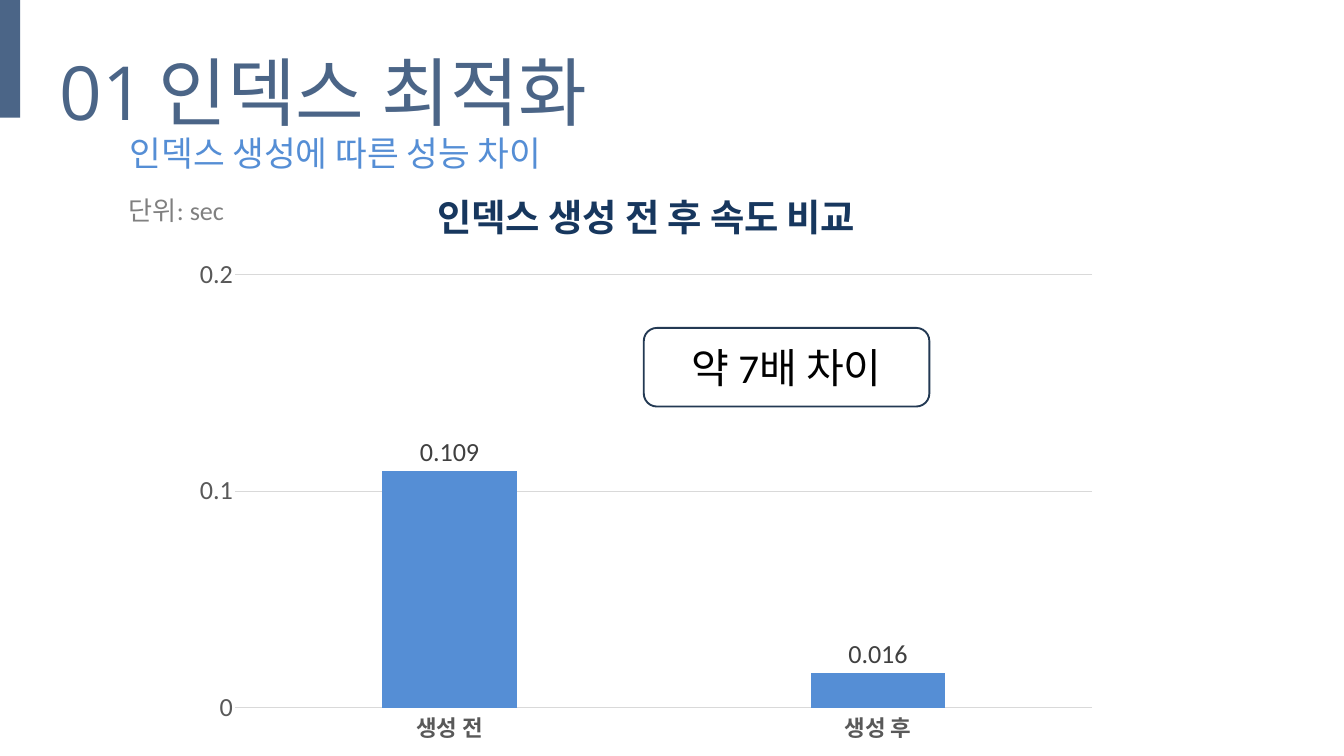
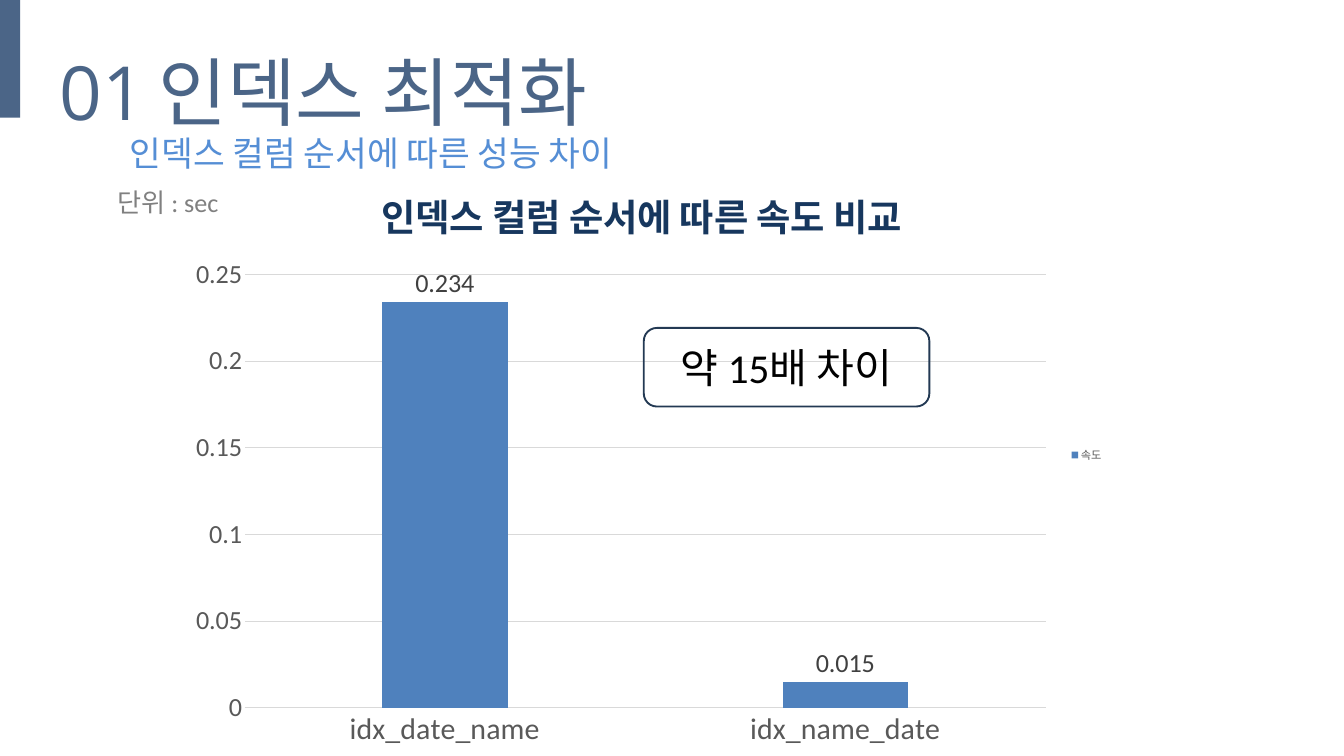
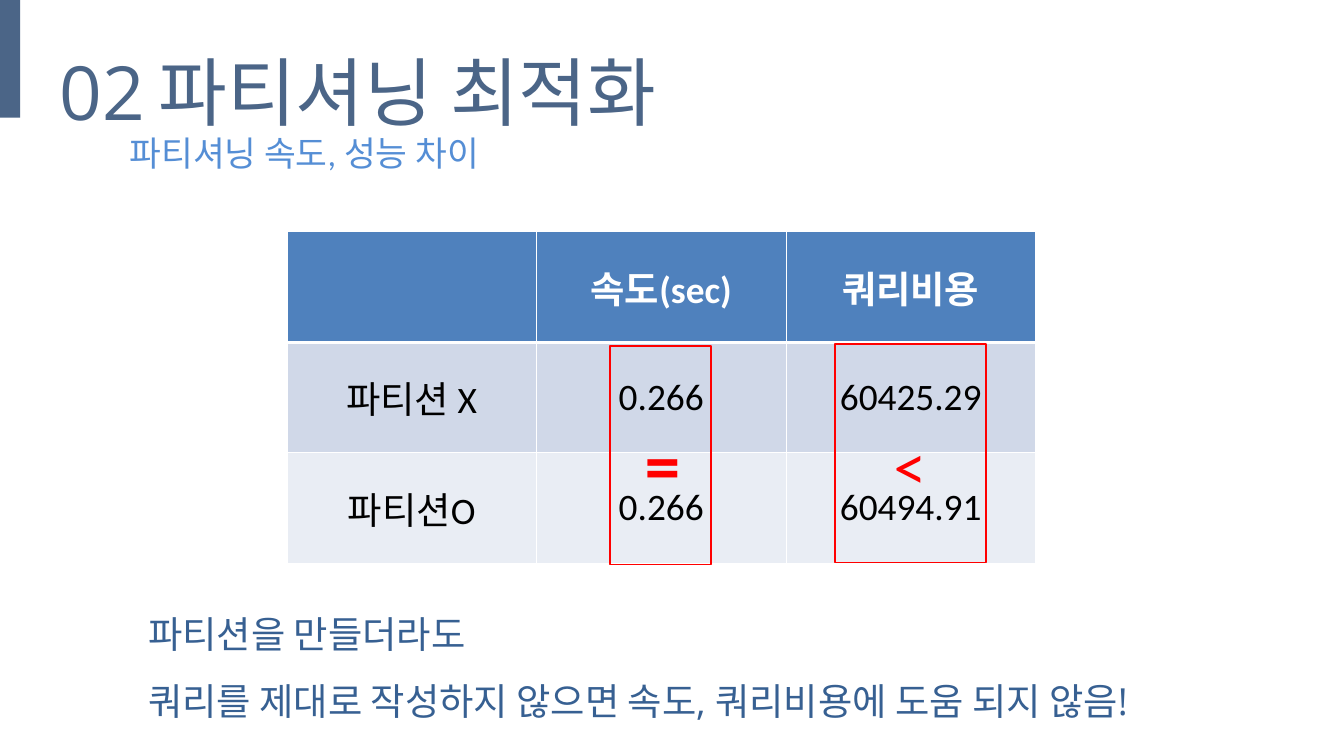
from lxml.etree import SubElement
from pptx import Presentation
from pptx.chart.data import CategoryChartData
from pptx.dml.color import RGBColor
from pptx.enum.chart import XL_CHART_TYPE as ChartType, XL_LABEL_POSITION as LabelPos
from pptx.enum.chart import XL_LEGEND_POSITION as LegendPos, XL_TICK_MARK as Tick
from pptx.enum.shapes import MSO_SHAPE as Shape
from pptx.enum.text import MSO_ANCHOR as Anchor, MSO_AUTO_SIZE as AutoSize, PP_ALIGN as Align
from pptx.oxml.ns import qn
from pptx.util import Inches, Pt

SLATE = RGBColor(0x4B, 0x65, 0x87)
SKY = RGBColor(0x55, 0x8E, 0xD5)
BLUE = RGBColor(0x4F, 0x81, 0xBD)
NAVY = RGBColor(0x17, 0x37, 0x5E)
OUTLINE = RGBColor(0x23, 0x39, 0x53)
NOTE_BLUE = RGBColor(0x37, 0x60, 0x92)
RED = RGBColor(0xFF, 0x00, 0x00)
BLACK = RGBColor(0x00, 0x00, 0x00)
WHITE = RGBColor(0xFF, 0xFF, 0xFF)
GRAY = RGBColor(0x80, 0x80, 0x80)
AXIS_GRAY = RGBColor(0x59, 0x59, 0x59)
LABEL_GRAY = RGBColor(0x40, 0x40, 0x40)
GRID_GRAY = RGBColor(0xD9, 0xD9, 0xD9)
ROW_DARK = RGBColor(0xD0, 0xD8, 0xE8)
ROW_LIGHT = RGBColor(0xE9, 0xED, 0xF4)

BODY_FONT = "Calibri"
NUMBER_FONT = "Open Sans"
SYMBOL_FONT = "Lato"

CHART_BOX = (2.67, 2.29, 13.86, 8.96)
CALLOUT_BOX = (9.58, 4.88, 4.25, 1.17)
TABLE_BOX = (4.27, 3.45, 11.14, 4.93)


def set_font(font, size, color, name=BODY_FONT, bold=False):
    values = {"size": Pt(size), "name": name, "bold": bold}
    for key, value in values.items():
        setattr(font, key, value)
    font.color.rgb = color


def set_line(line, color, width):
    line.color.rgb = color
    line.width = Pt(width)


def add_text(page, box, lines, inset=True, font=None, **layout):
    """Add a wrapping text box; layout holds paragraph attributes."""
    frame = page.shapes.add_textbox(*map(Inches, box)).text_frame
    frame.word_wrap = True
    frame.auto_size = AutoSize.SHAPE_TO_FIT_TEXT
    if not inset:
        for side in ("left", "top", "right", "bottom"):
            setattr(frame, f"margin_{side}", 0)
    for index, line in enumerate(lines):
        para = frame.add_paragraph() if index else frame.paragraphs[0]
        for key, value in layout.items():
            setattr(para, key, value)
        span = para.add_run()
        span.text = line
        set_font(span.font, **font)


def add_box(page, kind, box, fill=None, line=None):
    shape = page.shapes.add_shape(kind, *map(Inches, box))
    shape.shadow.inherit = False
    if fill is None:
        shape.fill.background()
    else:
        shape.fill.solid()
        shape.fill.fore_color.rgb = fill
    if line is None:
        shape.line.fill.background()
    else:
        set_line(shape.line, line, 2)
    return shape


def add_header(page, number, title, subtitle):
    add_box(page, Shape.RECTANGLE, (0, 0, 0.3, 1.75), fill=SLATE)
    for left, width, text, name in ((0.89, 1.36, number, NUMBER_FONT),
                                    (2.36, 10.73, title, BODY_FONT)):
        add_text(page, (left, 0.46, width, 1.5), [text], inset=False,
                 font={"size": 80, "color": SLATE, "name": name}, line_spacing=Pt(112))
    add_text(page, (1.83, 1.92, 16.33, 0.72), [subtitle], font={"size": 37, "color": SKY})


def add_callout(page, box, text):
    shape = add_box(page, Shape.ROUNDED_RECTANGLE, box, line=OUTLINE)
    frame = shape.text_frame
    frame.vertical_anchor = Anchor.MIDDLE
    para = frame.paragraphs[0]
    para.alignment = Align.CENTER
    span = para.add_run()
    span.text = text
    set_font(span.font, 44, BLACK)


def set_layout(parent, before, **fractions):
    """Place a chart part by fractions of the chart, ahead of the named child."""
    old = parent.find(qn("c:layout"))
    if old is not None:
        parent.remove(old)
    layout = parent.makeelement(qn("c:layout"))
    manual = SubElement(layout, qn("c:manualLayout"))
    if "w" in fractions:
        SubElement(manual, qn("c:layoutTarget")).set("val", "inner")
    for key in ("x", "y"):
        SubElement(manual, qn(f"c:{key}Mode")).set("val", "edge")
    for key, value in fractions.items():
        SubElement(manual, qn(f"c:{key}")).set("val", str(value))
    parent.find(qn(before)).addprevious(layout)


def style_axis(axis, size, bold=False):
    axis.major_tick_mark = axis.minor_tick_mark = Tick.NONE
    set_font(axis.tick_labels.font, size, AXIS_GRAY, bold=bold)


def add_speed_chart(page, box, title, title_left, series, values, color, category_font,
                    plot, scale=None, legend=False):
    data = CategoryChartData()
    data.categories = list(values)
    data.add_series(series, list(values.values()))
    chart = page.shapes.add_chart(ChartType.COLUMN_CLUSTERED, *map(Inches, box), data).chart
    set_font(chart.font, 10, BLACK)

    chart.has_title = True
    span = chart.chart_title.text_frame.paragraphs[0].add_run()
    span.text = title
    set_font(span.font, 40, NAVY, bold=True)
    chart.chart_title.include_in_layout = False
    set_layout(chart.chart_title._element, "c:overlay", x=title_left, y=0.04)

    style_axis(chart.category_axis, **category_font)
    set_line(chart.category_axis.format.line, GRID_GRAY, 0.75)
    value_axis = chart.value_axis
    style_axis(value_axis, 28)
    value_axis.format.line.fill.background()
    set_line(value_axis.major_gridlines.format.line, GRID_GRAY, 0.75)
    for key, value in (scale or {}).items():
        setattr(value_axis, key, value)

    bars = chart.plots[0]
    bars.gap_width, bars.overlap, bars.vary_by_categories = 219, -27, False
    fill = bars.series[0].format.fill
    fill.solid()
    fill.fore_color.rgb = color
    bars.has_data_labels = True
    labels = bars.data_labels
    labels.show_value = True
    labels.position = LabelPos.OUTSIDE_END
    set_font(labels.font, 28, LABEL_GRAY)
    set_layout(chart._chartSpace.chart.plotArea, "c:barChart", **plot)

    chart.has_legend = legend
    if legend:
        chart.legend.position = LegendPos.RIGHT
        chart.legend.include_in_layout = False
        set_font(chart.legend.font, 12, AXIS_GRAY)


def set_cell_borders(cell, bottom):
    for side in "LRTB":
        width = Pt(bottom if side == "B" else 1)
        line = SubElement(cell._tc.get_or_add_tcPr(), qn(f"a:ln{side}"), w=str(width))
        solid = SubElement(line, qn("a:solidFill"))
        SubElement(solid, qn("a:srgbClr"), val=str(WHITE))


def add_cost_table(page, box, rows):
    table = page.shapes.add_table(len(rows), len(rows[0]), *map(Inches, box)).table
    for row, texts in enumerate(rows):
        header = row == 0
        for column, text in enumerate(texts):
            cell = table.cell(row, column)
            set_cell_borders(cell, bottom=3 if header else 1)
            cell.fill.solid()
            cell.fill.fore_color.rgb = (BLUE, ROW_DARK, ROW_LIGHT)[row]
            cell.vertical_anchor = Anchor.MIDDLE
            para = cell.text_frame.paragraphs[0]
            para.alignment = Align.CENTER
            if text:
                span = para.add_run()
                span.text = text
                set_font(span.font, 40, WHITE if header else BLACK, bold=header)


def add_comparison(page, frame_box, sign_left, sign, **font):
    """Frame a table column and put a comparison sign between its values."""
    add_box(page, Shape.RECTANGLE, frame_box, line=RED)
    add_text(page, (sign_left, 5.79, 0.83, 1.59), [sign],
             font={"size": 66, "color": RED, **font},
             alignment=Align.JUSTIFY, line_spacing=1.5)


def build_chart_slide(page, subtitle, unit, unit_at, callout, **chart):
    add_header(page, "01", "인덱스 최적화", subtitle)
    add_speed_chart(page, CHART_BOX, **chart)
    add_text(page, (*unit_at, 2.93, 0.57), [unit], font={"size": 28, "color": GRAY})
    add_callout(page, CALLOUT_BOX, callout)


def build_partition_slide(page):
    add_header(page, "02", "파티셔닝 최적화", "파티셔닝 속도, 성능 차이")
    add_cost_table(page, TABLE_BOX, [
        ("", "속도(sec)", "쿼리비용"),
        ("파티션 X", "0.266", "60425.29"),
        ("파티션O", "0.266", "60494.91"),
    ])
    add_text(page, (2.11, 8.71, 17.06, 2.01),
             ["파티션을 만들더라도",
              "쿼리를 제대로 작성하지 않으면 속도, 쿼리비용에 도움 되지 않음!"],
             font={"size": 40, "color": NOTE_BLUE, "name": NUMBER_FONT},
             alignment=Align.JUSTIFY, line_spacing=1.5)
    add_comparison(page, (9.08, 5.15, 1.5, 3.25), 9.5, "=", name=NUMBER_FONT, bold=True)
    add_comparison(page, (12.42, 5.12, 2.25, 3.25), 13.17, "<", name=SYMBOL_FONT)


def main():
    deck = Presentation()
    deck.slide_width, deck.slide_height = Inches(20), Inches(11.25)
    blank = deck.slide_layouts[6]
    build_chart_slide(
        deck.slides.add_slide(blank), "인덱스 생성에 따른 성능 차이",
        "단위: sec", (1.82, 2.84), "약 7배 차이",
        title="인덱스 생성 전 후 속도 비교", title_left=0.27, series="Series 1",
        values={"생성 전": 0.109, "생성 후": 0.016}, color=SKY,
        category_font={"size": 24, "bold": True},
        plot={"x": 0.06, "y": 0.2, "w": 0.92, "h": 0.72},
        scale={"minimum_scale": 0, "maximum_scale": 0.2, "major_unit": 0.1})
    build_chart_slide(
        deck.slides.add_slide(blank), "인덱스 컬럼 순서에 따른 성능 차이",
        "단위 : sec", (1.65, 2.72), "약 15배 차이",
        title="인덱스 컬럼 순서에 따른 속도 비교", title_left=0.21, series="속도",
        values={"idx_date_name": 0.234, "idx_name_date": 0.015}, color=BLUE,
        category_font={"size": 32},
        plot={"x": 0.07, "y": 0.2, "w": 0.86, "h": 0.72}, legend=True)
    build_partition_slide(deck.slides.add_slide(blank))
    deck.save("out.pptx")


if __name__ == "__main__":
    main()
